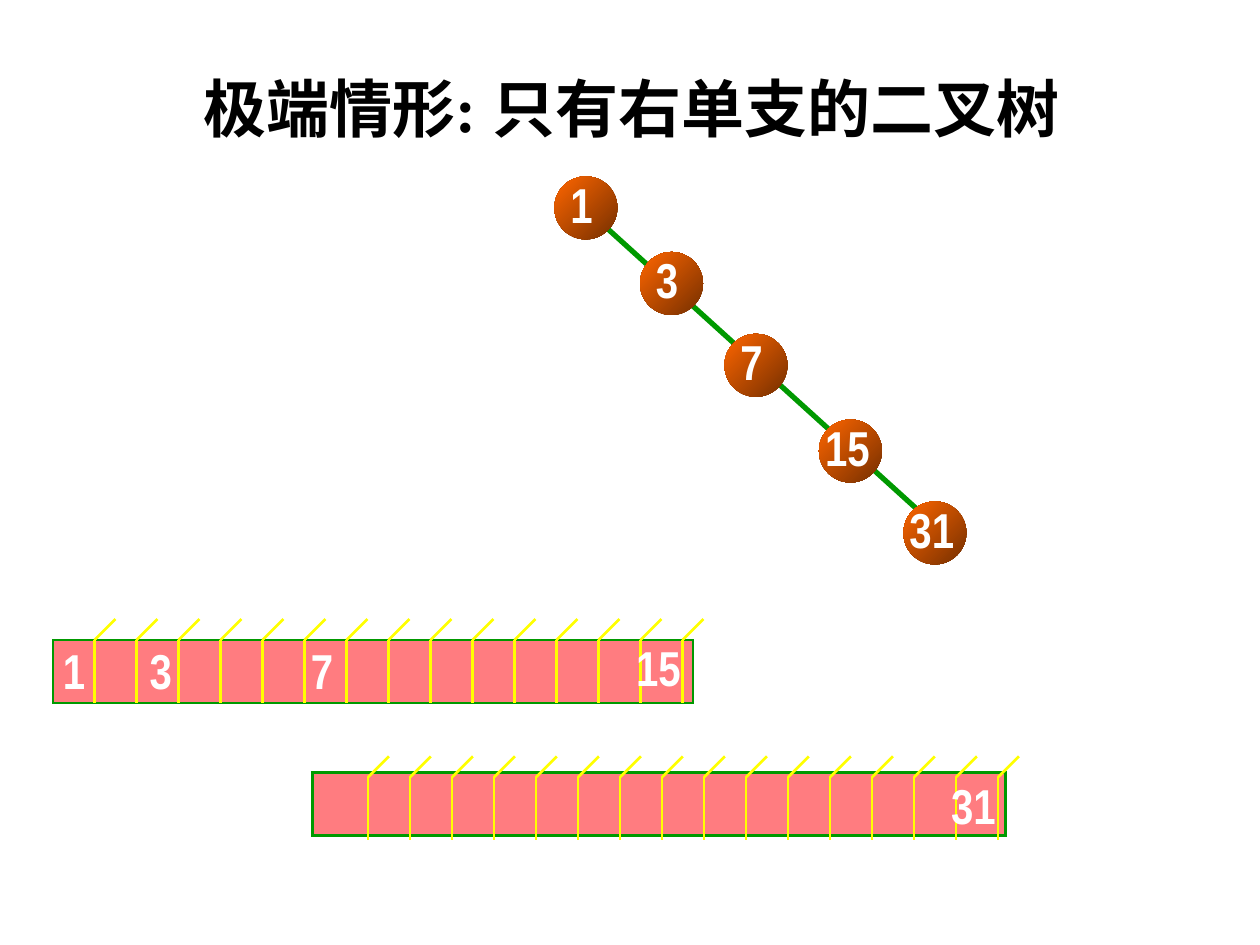
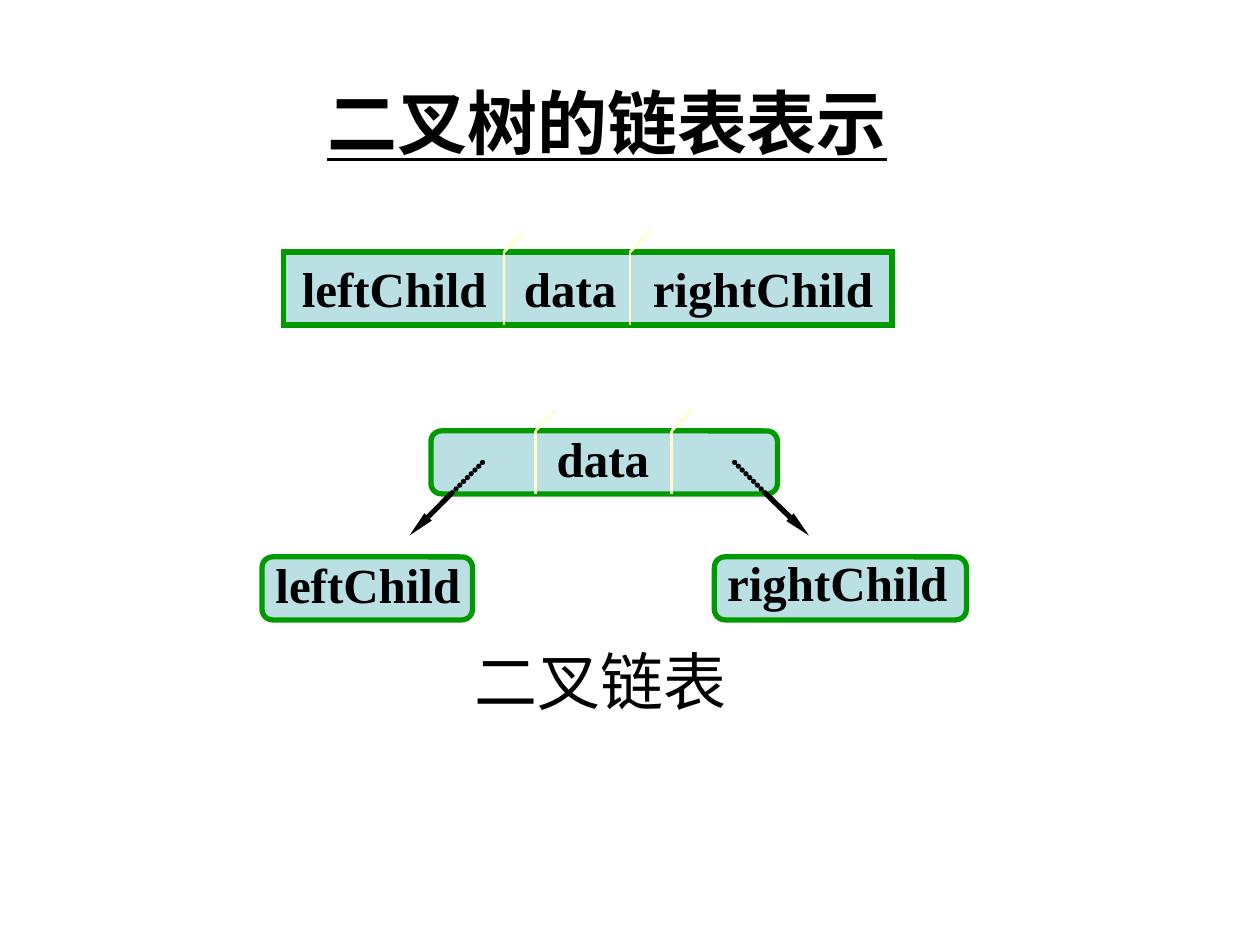
from lxml import etree
from pptx import Presentation
from pptx.dml.color import RGBColor
from pptx.enum.shapes import MSO_CONNECTOR, MSO_SHAPE
from pptx.enum.text import MSO_ANCHOR, MSO_AUTO_SIZE, PP_ALIGN
from pptx.oxml.ns import qn
from pptx.util import Inches, Pt

RECTANGLE = MSO_SHAPE.RECTANGLE
ROUNDED = MSO_SHAPE.ROUNDED_RECTANGLE
OVAL = MSO_SHAPE.OVAL
STRAIGHT = MSO_CONNECTOR.STRAIGHT
LEFT, CENTER = PP_ALIGN.LEFT, PP_ALIGN.CENTER
TOP, MIDDLE = MSO_ANCHOR.TOP, MSO_ANCHOR.MIDDLE
FIT_SHAPE = MSO_AUTO_SIZE.SHAPE_TO_FIT_TEXT

BLACK, WHITE = "000000", "FFFFFF"
GREEN, PINK, YELLOW = "009900", "FF7C80", "FFFF00"
PALE_BLUE, CREAM = "BBE0E3", "FFFFCC"
NODE_DARK, NODE_BRIGHT = "752F00", "FF6600"
SERIF, SANS, NARROW = "Times New Roman", "Arial", "Arial Narrow"

NODE_SIZE = 0.5
CELL_WIDTH = 1 / 3
SLANT = 1 / 6
LABEL_HEIGHT = 0.57


def color(hex_text):
    return RGBColor.from_string(hex_text)


class SlideWriter:
    """Holds the deck, the current page and the shared style."""

    def __init__(self):
        self.deck = Presentation()
        self.deck.slide_width, self.deck.slide_height = Inches(10), Inches(7.5)
        self.page = None

    def new_page(self):
        self.page = self.deck.slides.add_slide(self.deck.slide_layouts[6])

    def text(self, text, left, top, width, height=LABEL_HEIGHT, *, size=28, font=SERIF,
             ink=BLACK, bold=True, underline=None, align=CENTER, anchor=MIDDLE, wrap=False):
        box = self.page.shapes.add_textbox(*map(Inches, (left, top, width, height)))
        frame = box.text_frame
        frame.word_wrap, frame.auto_size, frame.vertical_anchor = wrap, FIT_SHAPE, anchor
        # Narrow side margins keep tight labels on one line.
        frame.margin_left = Inches(0.05 if align == CENTER else 0.1)
        frame.margin_right = Inches(0.05)
        para = frame.paragraphs[0]
        para.alignment = align
        span = para.add_run()
        span.text = text
        span.font.name, span.font.size = font, Pt(size)
        span.font.bold, span.font.underline = bold, underline
        span.font.color.rgb = color(ink)

    def number(self, value, left, top, align=LEFT):
        self.text(str(value), left, top, 0.37 if value < 10 else 0.55,
                  font=NARROW, ink=WHITE, align=align)

    def shape(self, kind, left, top, width, height, fill, weight):
        shape = self.page.shapes.add_shape(kind, *map(Inches, (left, top, width, height)))
        shape.shadow.inherit = False
        shape.fill.solid()
        shape.fill.fore_color.rgb = color(fill)
        shape.line.color.rgb = color(GREEN)
        shape.line.width = Pt(weight)
        etree.SubElement(shape.line._get_or_add_ln(), qn("a:miter"), lim="800000")

    def node(self, value, left, top):
        """Draws a tree node: a shaded ball with its number."""
        ball = self.page.shapes.add_shape(
            OVAL, *map(Inches, (left, top, NODE_SIZE, NODE_SIZE)))
        ball.shadow.inherit = False
        ball.line.fill.background()
        ball.fill.gradient()
        ball.fill.gradient_angle = 135
        for stop, shade in zip(ball.fill.gradient_stops, (NODE_DARK, NODE_BRIGHT)):
            stop.color.rgb = color(shade)
        self.number(value, left + (0.03 if value < 10 else -0.05), top - 0.07, CENTER)

    def line(self, start, end, ink, weight, arrow=False, dotted=False):
        connector = self.page.shapes.add_connector(STRAIGHT, *map(Inches, (*start, *end)))
        connector.line.color.rgb = color(ink)
        connector.line.width = Pt(weight)
        properties = connector.line._get_or_add_ln()
        if dotted:
            properties.set("cap", "rnd")
            dashes = etree.SubElement(properties, qn("a:custDash"))
            etree.SubElement(dashes, qn("a:ds"), d="100000", sp="2000")
        if arrow:
            etree.SubElement(properties, qn("a:tailEnd"), type="triangle", w="sm", len="lg")
        etree.SubElement(connector._element.spPr, qn("a:effectLst"))

    def divider(self, left, top, height, ink):
        """Draws a cell border with a slanted tick above it."""
        self.line((left, top), (left, top + height), ink, 1.5)
        self.line((left, top), (left + SLANT, top - SLANT), ink, 1.5)

    def dividers(self, first, top, count):
        for index in range(count):
            self.divider(first + index * CELL_WIDTH, top, 0.5, YELLOW)


def add_right_branch_page(writer):
    writer.new_page()
    writer.text("极端情形: 只有右单支的二叉树", 1.4, 0.5, 7.23, 0.7, size=36)

    writer.line((4.75, 1.75), (7.42, 4.17), GREEN, 3)
    for value, left, top in ((1, 4.4, 1.4), (3, 5.08, 2), (7, 5.75, 2.65),
                             (15, 6.5, 3.33), (31, 7.17, 3.98)):
        writer.node(value, left, top)

    writer.shape(RECTANGLE, 0.42, 5.08, 5.08, 0.5, PINK, 1.5)
    writer.dividers(0.75, 5.08, 15)
    writer.shape(RECTANGLE, 2.48, 6.13, 5.5, 0.5, PINK, 1.5)
    writer.dividers(2.92, 6.17, 16)
    for value, left, top in ((1, 0.4, 5.03), (3, 1.09, 5.03), (7, 2.37, 5.03),
                             (15, 4.95, 5.01), (31, 7.45, 6.1)):
        writer.number(value, left, top)


def add_linked_list_page(writer):
    writer.new_page()
    writer.text("二叉树的链表表示", 2.5, 0.58, 5.08, 0.77, size=40, font=SANS,
                underline=True, align=LEFT, anchor=TOP, wrap=True)

    writer.shape(RECTANGLE, 2.25, 2, 4.83, 0.58, PALE_BLUE, 3)
    for field, left, width in (("leftChild", 2.3, 1.66), ("data", 4.06, 0.93),
                               ("rightChild", 5.08, 1.95)):
        writer.text(field, left, 2, width)
    for left in (4, 5):
        writer.divider(left, 2, 0.58, CREAM)

    for left, top, width in ((3.42, 3.42, 2.75), (5.67, 4.42, 2), (2.08, 4.42, 1.67)):
        writer.shape(ROUNDED, left, top, width, 0.5, PALE_BLUE, 3)
    for field, left, top, width in (("data", 4.32, 3.35, 0.93),
                                    ("leftChild", 2.09, 4.35, 1.66),
                                    ("rightChild", 5.67, 4.33, 1.95)):
        writer.text(field, left, top, width)
    for left in (4.25, 5.33):
        writer.divider(left, 3.42, 0.5, CREAM)

    for inside, edge, child in ((3.83, 3.58, 3.25), (5.83, 6.08, 6.42)):
        writer.line((inside, 3.67), (edge, 3.92), BLACK, 3, dotted=True)
        writer.line((edge, 3.92), (child, 4.25), BLACK, 3, arrow=True)
    writer.text("二叉链表", 3.67, 5.05, 2.2, 0.7, size=36, bold=False)


def main():
    writer = SlideWriter()
    add_right_branch_page(writer)
    add_linked_list_page(writer)
    writer.deck.save("out.pptx")


if __name__ == "__main__":
    main()
